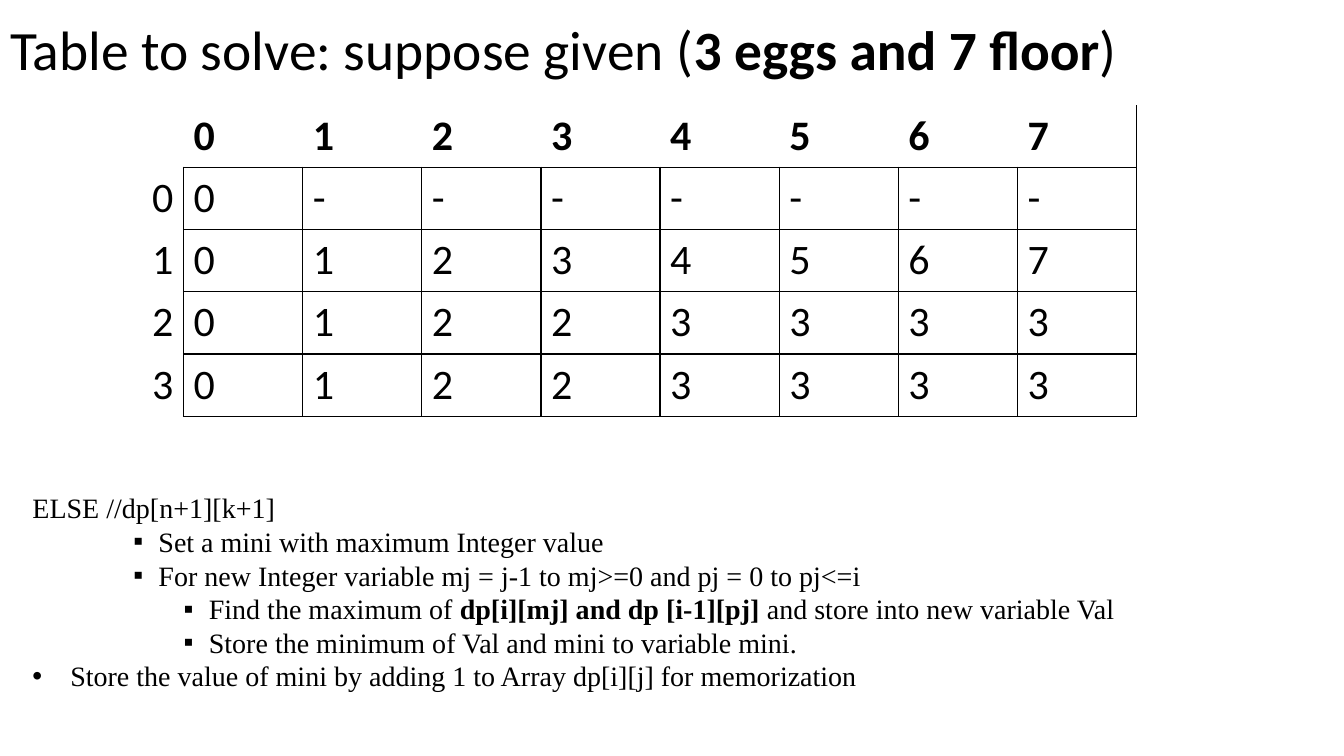
from lxml.etree import SubElement
from pptx import Presentation
from pptx.dml.color import RGBColor
from pptx.enum.text import MSO_ANCHOR, MSO_AUTO_SIZE, PP_ALIGN
from pptx.oxml.ns import qn
from pptx.util import Pt

BLACK = "000000"
TITLE = [("Table to solve: suppose given (", False), ("3 eggs and 7 floor", True), (")", False)]
FLOORS = ["", "0", "1", "2", "3", "4", "5", "6", "7"]
DROPS = [
    ["0", "0", "-", "-", "-", "-", "-", "-", "-"],
    ["1", "0", "1", "2", "3", "4", "5", "6", "7"],
    ["2", "0", "1", "2", "2", "3", "3", "3", "3"],
    ["3", "0", "1", "2", "2", "3", "3", "3", "3"],
]
STEPS = [
    (0, 0, 0, None, [("ELSE //dp[n+1][k+1]", False)]),
    (2, 90, 18, "▪", [("Set a mini with maximum Integer value", False)]),
    (2, 90, 18, "▪", [("For new Integer variable mj = j-1 to mj>=0 and pj = 0 to pj<=i", False)]),
    (3, 126, 18, "▪", [("Find the maximum of ", False),
                       ("dp[i][mj] and dp [i-1][pj] ", True),
                       ("and store into new variable Val", False)]),
    (3, 126, 18, "▪", [("Store the minimum of Val and mini to variable mini.", False)]),
    (0, 27, 27, "•", [("Store the value of mini by adding 1 to Array dp[i][j] for memorization", False)]),
]
COL_W, ROW_H = 85.12, 44.5


def color(value):
    return RGBColor.from_string(value)


def add_runs(p, runs, font, size):
    for text, bold in runs:
        r = p.add_run()
        r.text = text
        r.font.name, r.font.size, r.font.bold = font, Pt(size), bold
        r.font.color.rgb = color(BLACK)


def place(sp, left, top, width, height, anchor):
    sp.left, sp.top, sp.width, sp.height = Pt(left), Pt(top), Pt(width), Pt(height)
    tf = sp.text_frame
    tf.word_wrap = True
    tf.auto_size = MSO_AUTO_SIZE.NONE
    tf.vertical_anchor = anchor
    return tf


def set_bullet(p, margin, hanging, char):
    pPr = p._p.get_or_add_pPr()
    pPr.set("marL", str(Pt(margin)))
    pPr.set("indent", str(-Pt(hanging)))
    if char:
        SubElement(pPr, qn("a:buFont"), typeface="Arial")
        SubElement(pPr, qn("a:buChar"), char=char)
    else:
        SubElement(pPr, qn("a:buNone"))


def visible_sides(row, col):
    if row and col:
        return "LRTB"
    if row:
        return "R"
    if col:
        return "RB" if col == len(FLOORS) - 1 else "B"
    return ""


def set_borders(cell, sides):
    tcPr = cell._tc.get_or_add_tcPr()
    for side in "LRTB":
        ln = SubElement(tcPr, qn(f"a:ln{side}"), w=str(Pt(1)))
        if side in sides:
            fill = SubElement(ln, qn("a:solidFill"))
            SubElement(fill, qn("a:srgbClr"), val=BLACK)
        else:
            SubElement(ln, qn("a:noFill"))


prs = Presentation()
prs.slide_width, prs.slide_height = Pt(960), Pt(540)
s = prs.slides.add_slide(prs.slide_layouts[1])
title, body = s.placeholders

p = place(title, 0, 0, 828, 75, MSO_ANCHOR.MIDDLE).paragraphs[0]
p.alignment = PP_ALIGN.LEFT
p.line_spacing = 0.9
add_runs(p, TITLE, "Calibri", 39.6)

rows = [FLOORS] + DROPS
tbl = s.shapes.add_table(len(rows), len(FLOORS), Pt(46), Pt(75),
                         Pt(COL_W * len(FLOORS)), Pt(ROW_H * len(rows))).table
tbl.first_row = tbl.horz_banding = False
for column in tbl.columns:
    column.width = Pt(COL_W)
for i, values in enumerate(rows):
    tbl.rows[i].height = Pt(ROW_H)
    for j, value in enumerate(values):
        cell = tbl.cell(i, j)
        set_borders(cell, visible_sides(i, j))
        cell.fill.background()
        p = cell.text_frame.paragraphs[0]
        p.alignment = PP_ALIGN.LEFT if j else PP_ALIGN.RIGHT
        if value:
            add_runs(p, [(value, i == 0)], "Calibri", 30)

tf = place(body, 16, 347, 828, 153, MSO_ANCHOR.TOP)
for n, (level, margin, hanging, char, runs) in enumerate(STEPS):
    p = tf.add_paragraph() if n else tf.paragraphs[0]
    p.level = level
    p.line_spacing = Pt(24)
    p.space_before = p.space_after = Pt(0)
    set_bullet(p, margin, hanging, char)
    add_runs(p, runs, "Times New Roman", 20)

prs.save("out.pptx")
